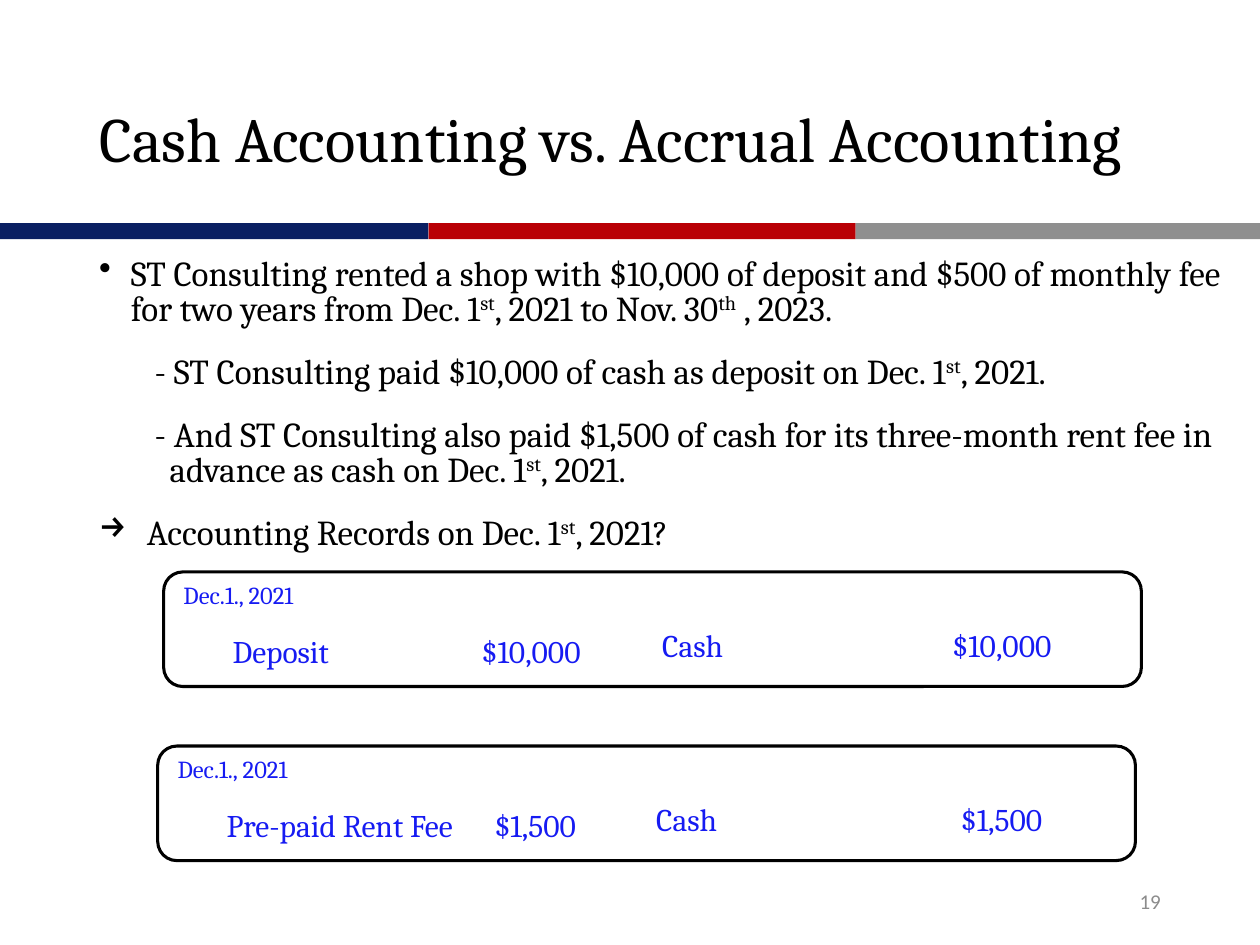
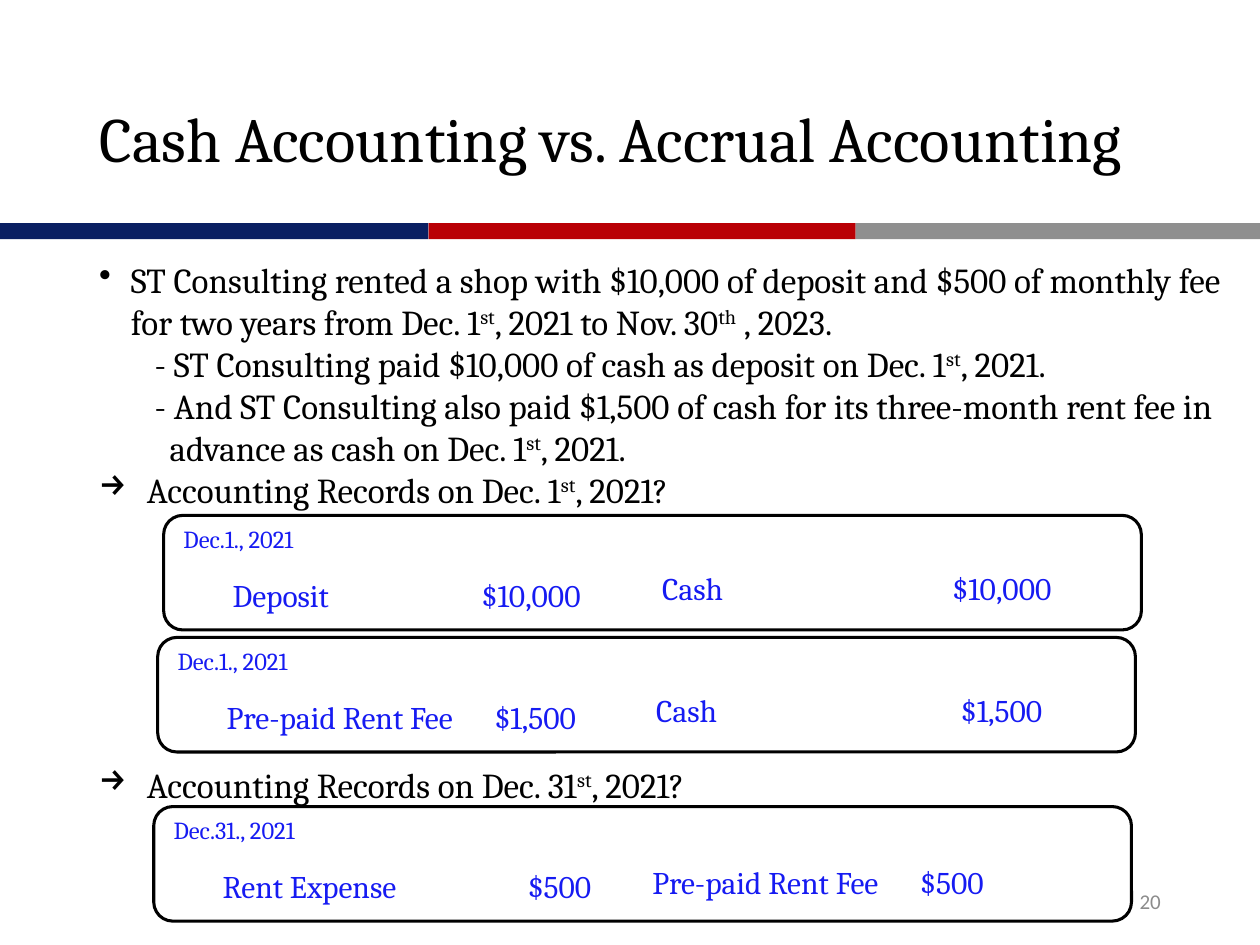
from lxml import etree
from pptx import Presentation
from pptx import util as u
from pptx.dml.color import RGBColor
from pptx.enum import shapes, text
from pptx.oxml.ns import qn

SERIF = "Cambria"
BLACK, ENTRY_BLUE, NUMBER_GREY = "000000", "161BF2", "8C8C8C"
BANDS = [(0, 8.64, "0A1F62"), (8.64, 8.61, "B90005"), (17.25, 8.15, "8F8F8F")]
TITLE = "Cash Accounting vs. Accrual Accounting"

FACTS = [
    ("•", 0.64, -0.64, "ST Consulting rented a shop with $10,000 of deposit and $500 of monthly fee "
     "for two years from Dec. 1^st^, 2021 to Nov. 30^th^ , 2023."),
    (None, 1.42, -0.3, "- ST Consulting paid $10,000 of cash as deposit on Dec. 1^st^, 2021."),
    (None, 1.42, -0.3, "- And ST Consulting also paid $1,500 of cash for its three-month rent fee in "
     "advance as cash on Dec. 1^st^, 2021."),
    ("→", 0.96, -0.96, "Accounting Records on Dec. 1^st^, 2021?"),
]
YEAR_END = ("→", 0.96, -0.96, "Accounting Records on Dec. 31^st^, 2021?")

DEPOSIT = ("Dec.1., 2021", "Deposit\t$10,000", 5.02, "Cash\t$10,000", 5.85, u.Pt(20))
PREPAID = ("Dec.1., 2021", "Pre-paid Rent Fee\t$1,500", 5.4, "Cash\t$1,500", 6.14, u.Pt(20))
EXPENSE = ("Dec.31., 2021", "Rent Expense\t$500", 6.15, "Pre-paid Rent Fee\t$500", 5.4, None)

PAGES = [
    dict(number="19", points=FACTS, spacing=(u.Pt(20), u.Pt(10), u.Pt(6)),
         entries=[(3.3, 11.53, DEPOSIT), (3.18, 15.04, PREPAID)]),
    dict(number="20", points=FACTS + [YEAR_END], spacing=(None, u.Pt(0), u.Pt(0)),
         entries=[(3.3, 10.39, DEPOSIT), (3.18, 12.85, PREPAID), (3.1, 16.26, EXPENSE)]),
]


def color(value):
    return RGBColor.from_string(value)


def add_label(slide, left, top, width, height, words, size, ink, font=SERIF, tab=None):
    frame = slide.shapes.add_textbox(u.Cm(left), u.Cm(top), u.Cm(width), u.Cm(height)).text_frame
    frame.word_wrap = True
    frame.text = words
    line = frame.paragraphs[0]
    if tab:
        stops = etree.SubElement(line._p.get_or_add_pPr(), qn("a:tabLst"))
        etree.SubElement(stops, qn("a:tab"), pos=str(u.Cm(tab)), algn="l")
    for run in line.runs:
        run.font.name, run.font.size = font, u.Pt(size)
        run.font.color.rgb = color(ink)
    return frame


deck = Presentation()
deck.slide_width, deck.slide_height = u.Cm(25.4), u.Cm(19.05)

for page in PAGES:
    slide = deck.slides.add_slide(deck.slide_layouts[5])

    for left, width, fill in BANDS:
        band = slide.shapes.add_shape(shapes.MSO_SHAPE.RECTANGLE,
                                      u.Cm(left), u.Cm(4.5), u.Cm(width), u.Cm(0.32))
        band.shadow.inherit = False
        band.fill.solid()
        band.fill.fore_color.rgb = color(fill)
        band.line.fill.background()

    title = slide.shapes.title
    title.left, title.top = u.Cm(1.75), u.Cm(1.02)
    title.width, title.height = u.Cm(22.53), u.Cm(3.68)
    title.text_frame.text = TITLE
    title.text_frame.auto_size = text.MSO_AUTO_SIZE.NONE
    title.text_frame.vertical_anchor = text.MSO_ANCHOR.MIDDLE
    heading = title.text_frame.paragraphs[0]
    heading.alignment = text.PP_ALIGN.LEFT
    heading.line_spacing = 0.9
    heading.font.name, heading.font.size = SERIF, u.Pt(36)
    heading.font.color.rgb = color(BLACK)

    body = slide.shapes.add_textbox(u.Cm(1.75), u.Cm(5.08), u.Cm(23.37), u.Cm(12.09)).text_frame
    body.word_wrap = True
    line_spacing, before, after = page["spacing"]
    for index, point in enumerate(page["points"]):
        bullet, margin, indent, words = point
        line = body.add_paragraph() if index else body.paragraphs[0]
        properties = line._p.get_or_add_pPr()
        properties.set("marL", str(u.Cm(margin)))
        properties.set("indent", str(u.Cm(indent)))
        if bullet:
            etree.SubElement(properties, qn("a:buChar"), char=bullet)
        line.line_spacing = line_spacing
        line.space_after = after
        if index:
            line.space_before = u.Pt(144.5) if point is YEAR_END else before
        for part, piece in enumerate(words.split("^")):
            run = line.add_run()
            run.text = piece
            run.font.name, run.font.size = SERIF, u.Pt(20)
            run.font.color.rgb = color(BLACK)
            if part % 2:
                run._r.get_or_add_rPr().set("baseline", "30000")

    number = add_label(slide, 17.93, 17.65, 5.72, 1.02, page["number"], 12, NUMBER_GREY, "Calibri")
    number.vertical_anchor = text.MSO_ANCHOR.MIDDLE
    number.paragraphs[0].alignment = text.PP_ALIGN.RIGHT

    for left, top, (date, debit, debit_tab, credit, credit_tab, credit_spacing) in page["entries"]:
        border = slide.shapes.add_shape(shapes.MSO_SHAPE.ROUNDED_RECTANGLE,
                                        u.Cm(left), u.Cm(top), u.Cm(19.71), u.Cm(2.31))
        border.shadow.inherit = False
        border.fill.background()
        border.line.color.rgb = color(BLACK)
        border.line.width = u.Pt(1.75)
        add_label(slide, left + 0.15, top + 0.04, 8.71, 0.86, date, 14, ENTRY_BLUE)
        add_label(slide, left + 1.14, top + 1.09, 8.71, 1.02, debit, 18, ENTRY_BLUE, tab=debit_tab)
        credit_side = add_label(slide, left + 9.8, top + 1.02, 8.97, 0.97, credit, 18, ENTRY_BLUE,
                                tab=credit_tab)
        credit_side.paragraphs[0].line_spacing = credit_spacing

deck.save("out.pptx")
